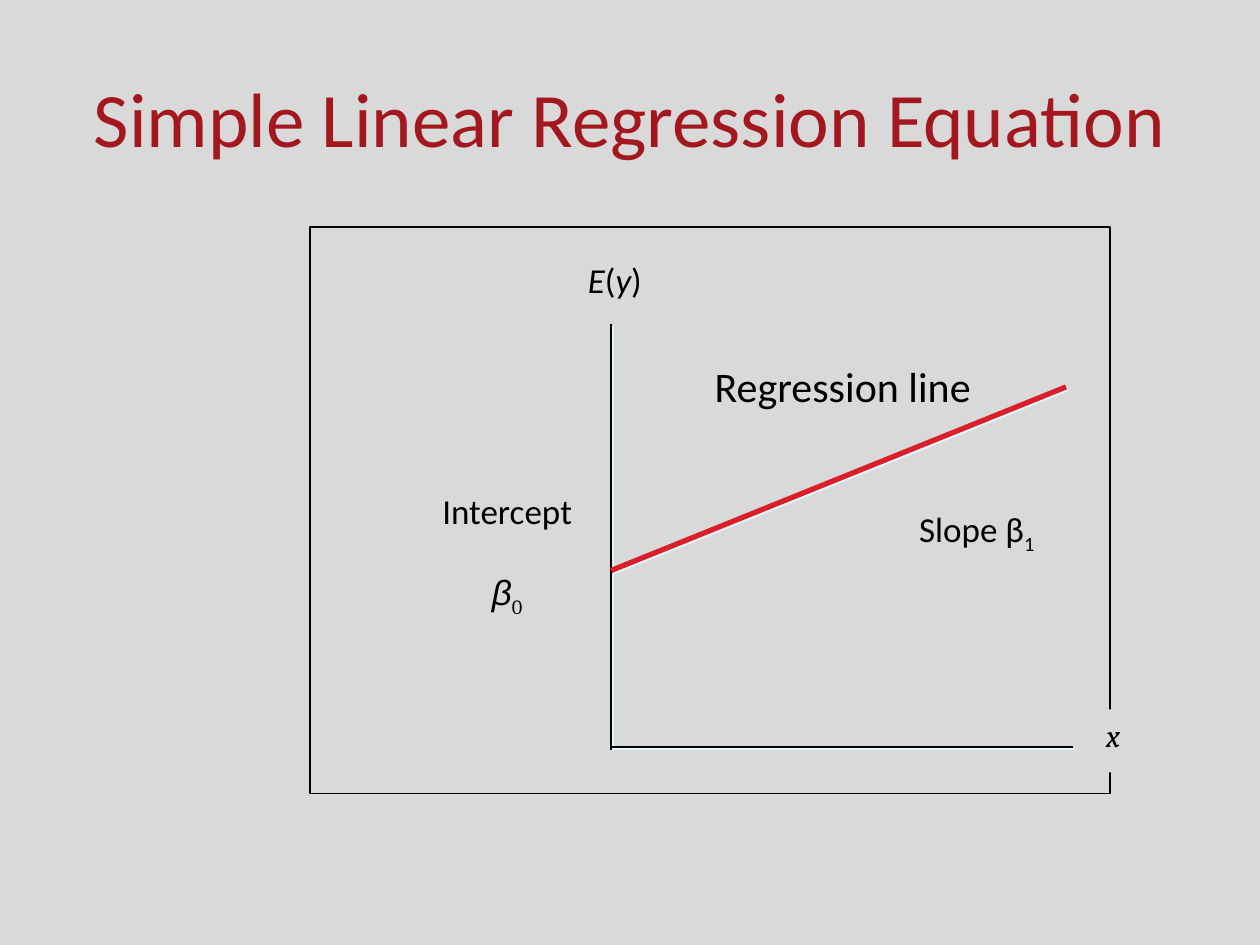
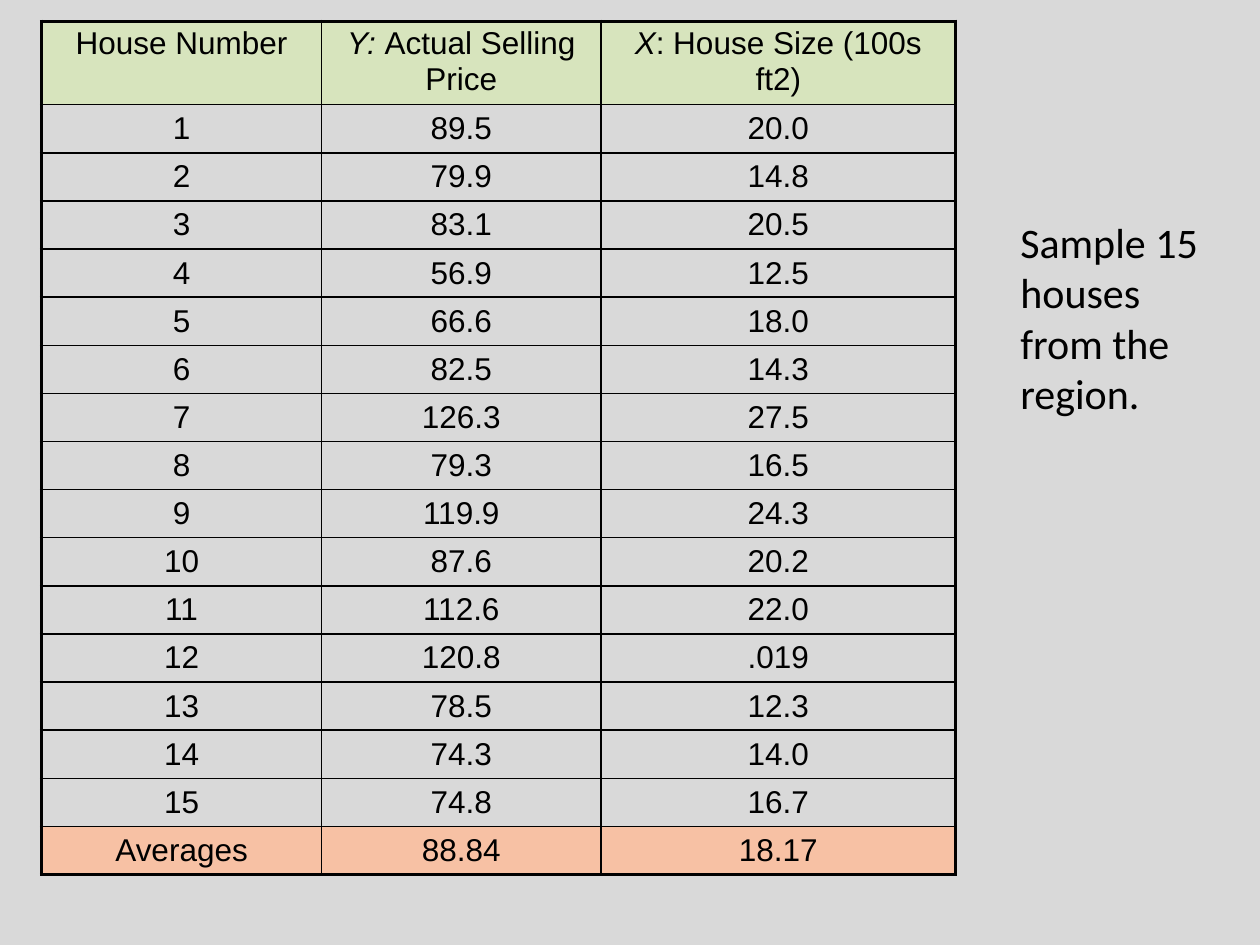
from lxml.etree import SubElement
from pptx import Presentation
from pptx.dml.color import RGBColor
from pptx.enum.shapes import MSO_CONNECTOR, MSO_SHAPE
from pptx.enum.text import MSO_ANCHOR, MSO_AUTO_SIZE, PP_ALIGN
from pptx.oxml.ns import qn
from pptx.util import Cm, Pt

# Shared look
BACKGROUND = "D9D9D9"
INK = "000000"
TITLE_RED = "A3171E"
LINE_RED = "DA1F28"
LINE_SHADOW = "DEF5FA"
HEADER_GREEN = "D7E4BD"
AVERAGE_ORANGE = "F7C1A4"
THIN, THICK = 1, 2.25

HEADINGS = [
    [("House Number", {})],
    [("Y: ", {"italic": True}), ("Actual Selling Price", {})],
    [("X", {"italic": True}), (": House Size (100s ft2)", {})],
]
PRICES = ["89.5", "79.9", "83.1", "56.9", "66.6", "82.5", "126.3", "79.3",
          "119.9", "87.6", "112.6", "120.8", "78.5", "74.3", "74.8"]
SIZES = ["20.0", "14.8", "20.5", "12.5", "18.0", "14.3", "27.5", "16.5",
         "24.3", "20.2", "22.0", ".019", "12.3", "14.0", "16.7"]
AVERAGES = ["Averages", "88.84", "18.17"]


def color(hex_code):
    return RGBColor.from_string(hex_code)


def write(frame, *paragraphs, size=20, font="Calibri", ink=INK,
          align=PP_ALIGN.CENTER, gap=0):
    """Each paragraph is a string or a list of (text, format changes)."""
    for index, runs in enumerate(paragraphs):
        paragraph = frame.add_paragraph() if index else frame.paragraphs[0]
        paragraph.alignment = align
        if index and gap:
            paragraph.space_before = Pt(gap)
        if isinstance(runs, str):
            runs = [(runs, {})]
        for text, changes in runs:
            run = paragraph.add_run()
            run.text = text
            run.font.size = Pt(size)
            run.font.name = changes.get("font", font)
            run.font.italic = changes.get("italic", False)
            run.font.color.rgb = color(ink)
            if "baseline" in changes:
                run.font._element.set("baseline", str(changes["baseline"]))


def add_panel(slide, left, top, width, height, outline=None):
    panel = slide.shapes.add_shape(
        MSO_SHAPE.RECTANGLE, Cm(left), Cm(top), Cm(width), Cm(height))
    panel.shadow.inherit = False
    panel.fill.solid()
    panel.fill.fore_color.rgb = color(BACKGROUND)
    if outline:
        panel.line.color.rgb = color(outline)
        panel.line.width = Pt(THIN)
    else:
        panel.line.fill.background()
    return panel


def add_label(slide, box, *paragraphs, **text_format):
    frame = add_panel(slide, *box).text_frame
    frame.word_wrap = False
    frame.auto_size = MSO_AUTO_SIZE.SHAPE_TO_FIT_TEXT
    frame.vertical_anchor = MSO_ANCHOR.TOP
    write(frame, *paragraphs, **text_format)


def add_line(slide, start, end, ink=INK, weight=THIN):
    line = slide.shapes.add_connector(
        MSO_CONNECTOR.STRAIGHT, *(Cm(value) for value in (*start, *end)))
    line.line.color.rgb = color(ink)
    line.line.width = Pt(weight)
    # Pale shadow down to the right
    effects = SubElement(line._element.spPr, qn("a:effectLst"))
    shadow = SubElement(effects, qn("a:outerShdw"), blurRad="0",
                        dist=str(Pt(1.4)), dir="2700000", algn="ctr",
                        rotWithShape="0")
    SubElement(shadow, qn("a:srgbClr"), val=LINE_SHADOW)


def add_title(slide, text):
    title = slide.shapes.title
    title.left, title.top = Cm(1.27), Cm(0.76)
    title.width, title.height = Cm(22.86), Cm(3.18)
    title.text_frame.vertical_anchor = MSO_ANCHOR.MIDDLE
    write(title.text_frame, text, size=44, ink=TITLE_RED)


def add_regression_plot(slide, left, top, width, height):
    def at(x, y, *extent):
        return (left + x, top + y, *extent)

    axis_x, axis_y = 6.07, 10.49
    add_panel(slide, left, top, width, height, outline=INK)

    # Axes and their names
    add_line(slide, at(axis_x, 1.96), at(axis_x, axis_y + 0.05))
    add_label(slide, at(5.33, 0.51, 1.63, 1.12),
              [("E", {"italic": True}), ("(", {}),
               ("y", {"italic": True}), (")", {})])
    add_line(slide, at(15.39, axis_y), at(axis_x, axis_y))
    add_label(slide, at(15.72, 9.73, 0.94, 1.27),
              [("x", {"italic": True})], size=18, font="Cambria")

    # Regression line with slope and intercept
    add_line(slide, at(axis_x, 6.93), at(15.24, 3.23), LINE_RED, 3)
    add_label(slide, at(11.99, 5.54, 2.9, 1.12),
              [("Slope β", {}), ("1", {"baseline": -25000})])
    add_label(slide, at(7.87, 2.57, 5.74, 1.27), "Regression line", size=24)
    add_label(slide, at(2.36, 5.18, 3.23, 1.96), "Intercept",
              [("β", {"font": "Arial", "italic": True}),
               ("0", {"font": "Cambria", "baseline": -25000})], gap=22)


def set_borders(cell, **weights):
    properties = cell._tc.get_or_add_tcPr()
    for position, side in enumerate("LRTB"):
        border = SubElement(properties, qn(f"a:ln{side}"),
                            w=str(Pt(weights[side])))
        fill = SubElement(border, qn("a:solidFill"))
        SubElement(fill, qn("a:srgbClr"), val=INK)
        properties.insert(position, border)


def add_house_table(slide, left, top, column_widths, header_height, row_height):
    houses = [[str(number), price, size] for number, (price, size)
              in enumerate(zip(PRICES, SIZES), start=1)]
    rows = [HEADINGS, *houses, AVERAGES]
    last_row, last_column = len(rows) - 1, len(column_widths) - 1
    table = slide.shapes.add_table(
        len(rows), len(column_widths), Cm(left), Cm(top),
        Cm(sum(column_widths)),
        Cm(header_height + last_row * row_height)).table
    table.first_row = table.horz_banding = False
    for column, width in zip(table.columns, column_widths):
        column.width = Cm(width)
    fills = {0: HEADER_GREEN, last_row: AVERAGE_ORANGE}

    for r, row in enumerate(rows):
        table.rows[r].height = Cm(row_height if r else header_height)
        for c, content in enumerate(row):
            cell = table.cell(r, c)
            cell.margin_top = cell.margin_bottom = Cm(0.1)
            cell.vertical_anchor = MSO_ANCHOR.MIDDLE if r else MSO_ANCHOR.TOP
            cell.fill.solid()
            cell.fill.fore_color.rgb = color(fills.get(r, BACKGROUND))
            write(cell.text_frame, content, size=18, font="Arial")
            set_borders(cell,
                        L=THIN if c else THICK,
                        R=THICK if c == last_column else THIN,
                        T=THIN if r else THICK,
                        B=THICK if r == last_row else THIN)


def add_sample_note(slide, left, top, width, height):
    frame = slide.shapes.add_textbox(
        Cm(left), Cm(top), Cm(width), Cm(height)).text_frame
    frame.word_wrap = True
    frame.auto_size = MSO_AUTO_SIZE.SHAPE_TO_FIT_TEXT
    write(frame, "Sample 15 houses from the region.", size=24,
          align=PP_ALIGN.LEFT)


def main():
    deck = Presentation()
    deck.slide_width, deck.slide_height = Cm(25.4), Cm(19.05)
    backdrop = deck.slide_master.background.fill
    backdrop.solid()
    backdrop.fore_color.rgb = color(BACKGROUND)
    title_only, blank = deck.slide_layouts[5], deck.slide_layouts[6]

    # Regression equation
    equation = deck.slides.add_slide(title_only)
    add_title(equation, "Simple Linear Regression Equation")
    add_regression_plot(equation, 6.25, 4.57, 16.13, 11.43)

    # House sample
    sample = deck.slides.add_slide(blank)
    add_house_table(sample, 0.84, 0.43, [5.64, 5.64, 7.14], 1.68, 0.97)
    add_sample_note(sample, 20.32, 4.24, 4.24, 4.37)

    deck.save("out.pptx")


if __name__ == "__main__":
    main()
